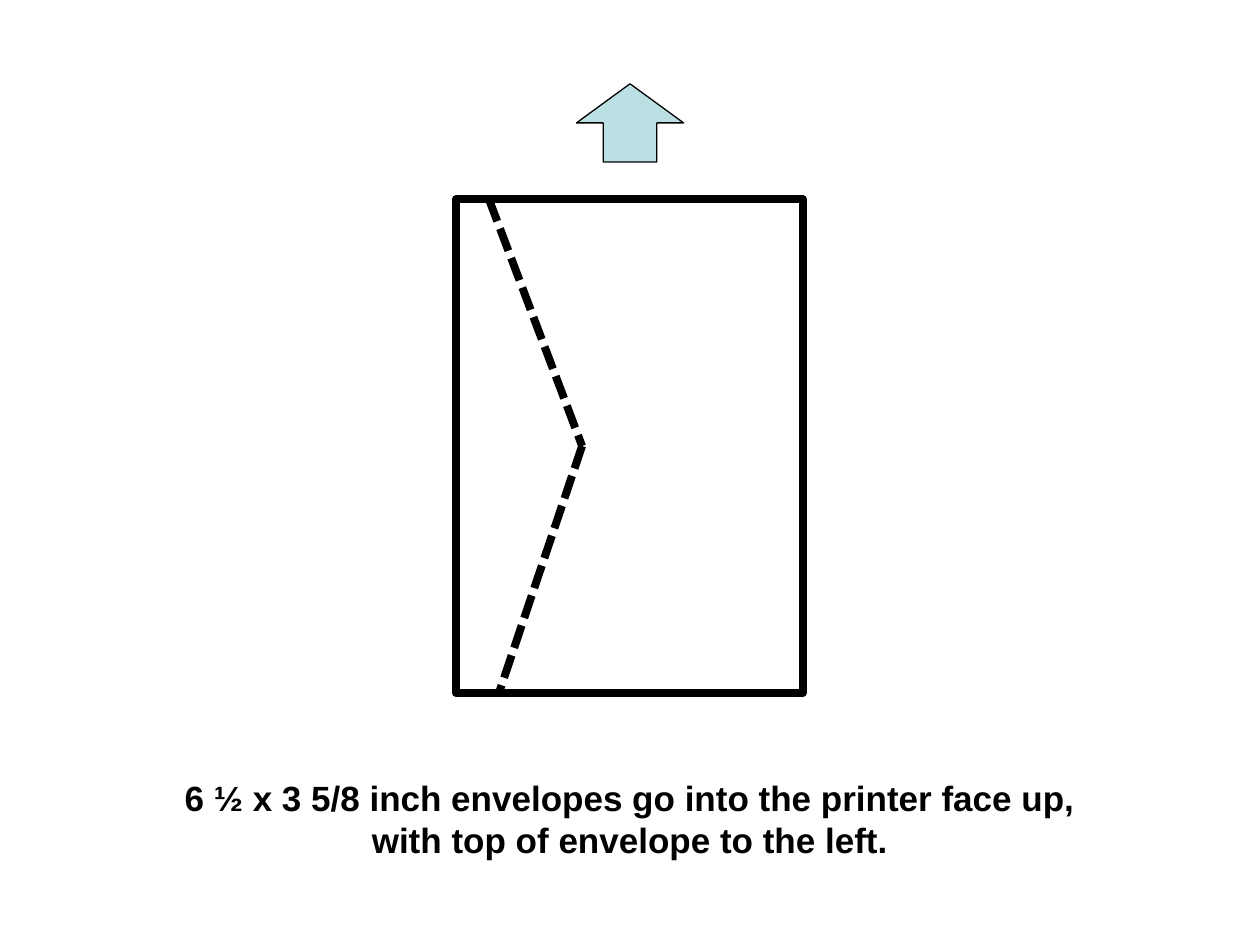
from dataclasses import dataclass

from lxml.etree import SubElement
from pptx import Presentation
from pptx.dml.color import RGBColor
from pptx.enum.dml import MSO_LINE
from pptx.enum.shapes import MSO_CONNECTOR, MSO_SHAPE
from pptx.enum.text import MSO_AUTO_SIZE, PP_ALIGN
from pptx.oxml.ns import qn
from pptx.util import Inches, Pt


@dataclass(frozen=True)
class Theme:
    ink: RGBColor = RGBColor(0x00, 0x00, 0x00)
    arrow_fill: RGBColor = RGBColor(0xBB, 0xE0, 0xE3)
    font: str = "Arial"
    caption_size: Pt = Pt(20)
    heavy_line: Pt = Pt(4.5)
    thin_line: Pt = Pt(0.75)


THEME = Theme()


def style_line(line, width):
    line.color.rgb = THEME.ink
    line.width = width


def add_feed_arrow(page, left, top, width, height):
    """Right arrow turned upwards; the box is given before rotation."""
    arrow = page.shapes.add_shape(MSO_SHAPE.RIGHT_ARROW, left, top, width, height)
    arrow.rotation = 270
    arrow.shadow.inherit = False
    arrow.fill.solid()
    arrow.fill.fore_color.rgb = THEME.arrow_fill
    style_line(arrow.line, THEME.thin_line)


def add_envelope(page, left, top, width, height):
    group = page.shapes.add_group_shape()

    # Envelope outline with rounded corners
    outline = group.shapes.add_shape(MSO_SHAPE.RECTANGLE, left, top, width, height)
    outline.shadow.inherit = False
    outline.fill.background()
    style_line(outline.line, THEME.heavy_line)
    SubElement(outline.line._get_or_add_ln(), qn("a:round"))

    # Dashed flap, from the top edge through its tip to the bottom edge
    flap = [
        (left + Inches(0.26), top),
        (left + Inches(1), top + height // 2),
        (left + Inches(0.34), top + height),
    ]
    for start, end in zip(flap, flap[1:]):
        edge = group.shapes.add_connector(MSO_CONNECTOR.STRAIGHT, *start, *end)
        style_line(edge.line, THEME.heavy_line)
        edge.line.dash_style = MSO_LINE.SQUARE_DOT
        SubElement(edge._element.spPr, qn("a:effectLst"))


def add_caption(page, left, top, width, height, lines):
    box = page.shapes.add_textbox(left, top, width, height)
    frame = box.text_frame
    frame.word_wrap = True
    frame.auto_size = MSO_AUTO_SIZE.SHAPE_TO_FIT_TEXT
    frame.text = "\n".join(lines)
    font_format = {"name": THEME.font, "size": THEME.caption_size, "bold": True}
    for para in frame.paragraphs:
        para.alignment = PP_ALIGN.CENTER
        for span in para.runs:
            for name, value in font_format.items():
                setattr(span.font, name, value)
            span.font.color.rgb = THEME.ink


def main():
    deck = Presentation()
    deck.slide_width, deck.slide_height = Inches(10), Inches(7.5)
    page = deck.slides.add_slide(deck.slide_layouts[6])

    add_envelope(page, Inches(3.62), Inches(1.58), Inches(2.75), Inches(3.92))
    add_caption(
        page, Inches(0), Inches(6.11), deck.slide_width, Inches(0.77),
        [
            "6 ½ x 3 5/8 inch envelopes go into the printer face up,",
            "with top of envelope to the left.",
        ],
    )
    add_feed_arrow(page, Inches(4.69), Inches(0.55), Inches(0.62), Inches(0.85))

    deck.save("out.pptx")


if __name__ == "__main__":
    main()
